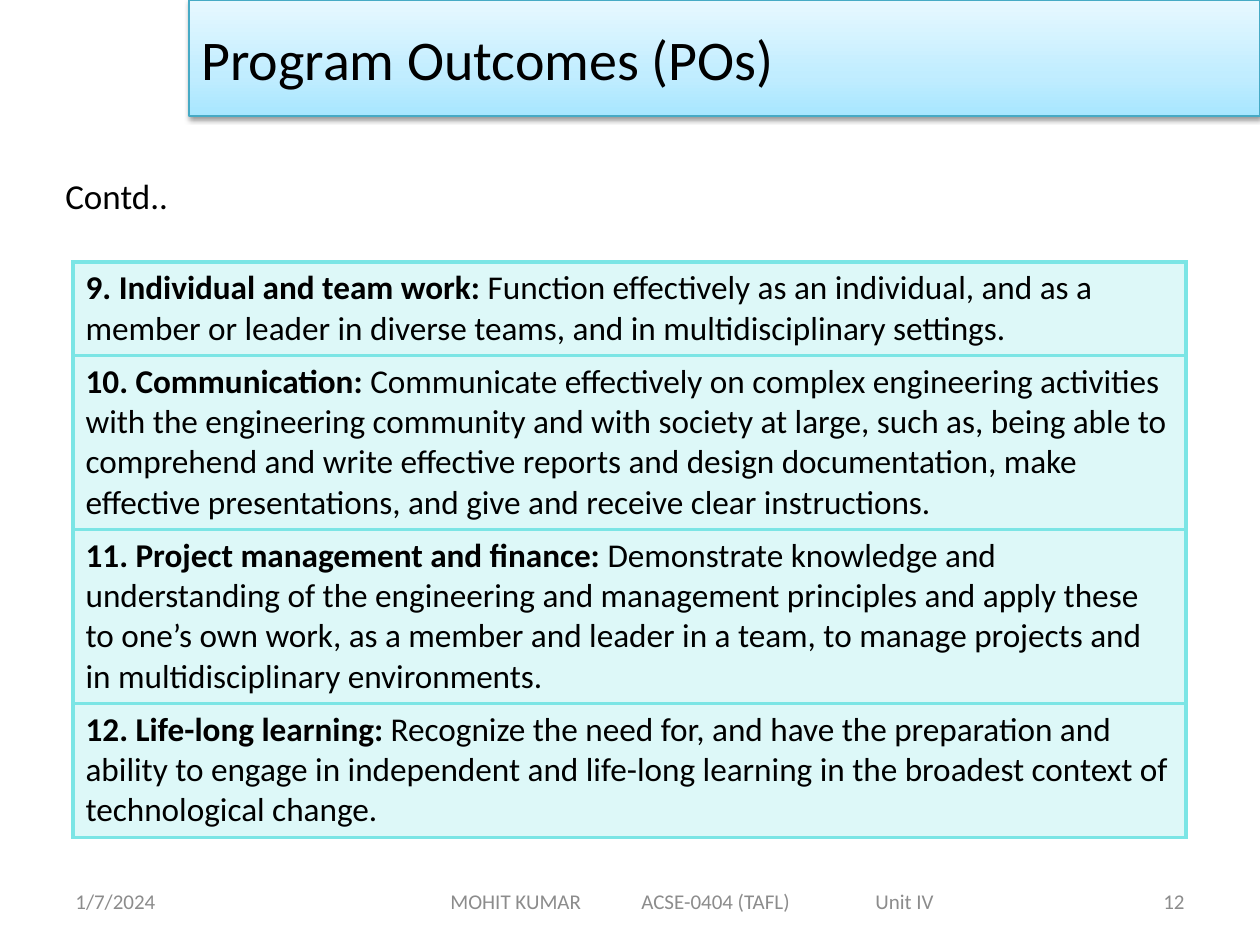
"""Builds the Program Outcomes slide with its banner, table and footer."""
from copy import deepcopy
from typing import NamedTuple

from lxml import etree
from pptx import Presentation
from pptx import util as u
from pptx.dml.color import RGBColor
from pptx.enum import shapes, text
from pptx.oxml import ns

SCALE = 914400 / 126
FONT = "Calibri"
HUES = {
    "ink": "000000", "grey": "8C8C8C", "aqua": "7BE5E5", "edge": "46AAC5",
    "deep": "A7E6FF", "mid": "C1EDFF", "pale": "E7F8FF",
}
FADE = [(0, "deep"), (0.35, "mid"), (1, "pale")]


class Label(NamedTuple):
    words: str
    left: int
    top: int
    width: int
    height: int
    size: int = 12
    hue: str = "grey"
    align: text.PP_ALIGN = text.PP_ALIGN.LEFT
    anchor: text.MSO_ANCHOR = text.MSO_ANCHOR.MIDDLE
    wrap: bool = True
    tabs: tuple[int, ...] = ()


class Goal(NamedTuple):
    head: str
    body: str
    height: int


TITLE = Label("Program Outcomes (POs)", 189, 0, 1071, 116, 32, "ink")
LABELS = [
    Label("Contd..", 53, 168, 128, 55, 20, "ink",
          anchor=text.MSO_ANCHOR.TOP, wrap=False),
    Label("1/7/2024", 63, 876, 294, 50),
    Label("MOHIT KUMAR\tACSE-0404 (TAFL)\tUnit IV", 438, 876, 602, 50,
          tabs=(191, 425)),
    Label("12", 903, 876, 294, 50, align=text.PP_ALIGN.RIGHT),
]
GOALS = [
    Goal("9. Individual and team work: ",
         "Function effectively as an individual, and as a member or leader in "
         "diverse teams, and in multidisciplinary settings.", 93),
    Goal("10. Communication: ",
         "Communicate effectively on complex engineering activities with the "
         "engineering community and with society at large, such as, being able "
         "to comprehend and write effective reports and design documentation, "
         "make effective presentations, and give and receive clear "
         "instructions.", 174),
    Goal("11. Project management and finance: ",
         "Demonstrate knowledge and understanding of the engineering and "
         "management principles and apply these to one’s own work, as a member "
         "and leader in a team, to manage projects and in multidisciplinary "
         "environments.", 174),
    Goal("12. Life-long learning: ",
         "Recognize the need for, and have the preparation and ability to "
         "engage in independent and life-long learning in the broadest context "
         "of technological change.", 134),
]


def px(count: int) -> u.Emu:
    return u.Emu(round(count * SCALE))


def rgb(hue: str) -> RGBColor:
    return RGBColor.from_string(HUES[hue])


def add(parent, tag: str, **attrs: str):
    return etree.SubElement(parent, ns.qn(tag), attrs)


def style(para, size: int, hue: str) -> None:
    para.font.name = FONT
    para.font.size = u.Pt(size)
    para.font.color.rgb = rgb(hue)


def write(shape, label: Label) -> None:
    frame = shape.text_frame
    frame.word_wrap = label.wrap
    frame.vertical_anchor = label.anchor
    para = frame.paragraphs[0]
    para.text = label.words
    para.alignment = label.align
    if label.tabs:
        stops = add(para._p.get_or_add_pPr(), "a:tabLst")
        for stop in label.tabs:
            add(stops, "a:tab", pos=str(px(stop)), algn="l")
    style(para, label.size, label.hue)


def box(label: Label) -> tuple[u.Emu, ...]:
    return tuple(map(px, (label.left, label.top, label.width, label.height)))


def draw_label(slide, label: Label) -> None:
    write(slide.shapes.add_textbox(*box(label)), label)


def draw_banner(slide, label: Label) -> None:
    shape = slide.shapes.add_shape(shapes.MSO_SHAPE.RECTANGLE, *box(label))
    shape.fill.gradient()
    shape.fill.gradient_angle = 90
    stops = shape._element.spPr.find(".//" + ns.qn("a:gsLst"))
    stops.append(deepcopy(stops[0]))
    for stop, (place, hue) in zip(shape.fill.gradient_stops, FADE):
        stop.position = place
        stop.color.rgb = rgb(hue)
    shape.line.color.rgb = rgb("edge")
    shape.line.width = u.Pt(0.75)
    shape.shadow.inherit = False
    glow = add(shape._element.spPr.find(ns.qn("a:effectLst")), "a:outerShdw",
               blurRad="40000", dist="20000", dir="5400000", rotWithShape="0")
    shade = add(glow, "a:srgbClr", val=HUES["ink"])
    add(shade, "a:alpha", val="38000")
    write(shape, label)


def paint(cell) -> None:
    props = cell._tc.get_or_add_tcPr()
    for side in ("L", "R", "T", "B"):
        line = add(props, f"a:ln{side}", w=str(u.Pt(2.25)))
        add(add(line, "a:solidFill"), "a:srgbClr", val=HUES["aqua"])
    cell.fill.solid()
    cell.fill.fore_color.rgb = rgb("aqua")
    tint = props.find(ns.qn("a:solidFill"))[0]
    add(tint, "a:alpha", val="25000")


def draw_table(slide, goals: list[Goal]) -> None:
    total = sum(goal.height for goal in goals)
    table = slide.shapes.add_table(
        len(goals), 1, px(73), px(262), px(1113), px(total)).table
    table.first_row = table.horz_banding = False
    for row, goal in zip(table.rows, goals):
        row.height = px(goal.height)
        cell = row.cells[0]
        paint(cell)
        para = cell.text_frame.paragraphs[0]
        for words, bold in ((goal.head, True), (goal.body, False)):
            run = para.add_run()
            run.text = words
            run.font.bold = bold
        style(para, 19, "ink")


def main() -> None:
    deck = Presentation()
    deck.slide_width, deck.slide_height = px(1260), px(945)
    slide = deck.slides.add_slide(deck.slide_layouts[6])
    draw_table(slide, GOALS)
    draw_banner(slide, TITLE)
    for label in LABELS:
        draw_label(slide, label)
    deck.save("out.pptx")


if __name__ == "__main__":
    main()
